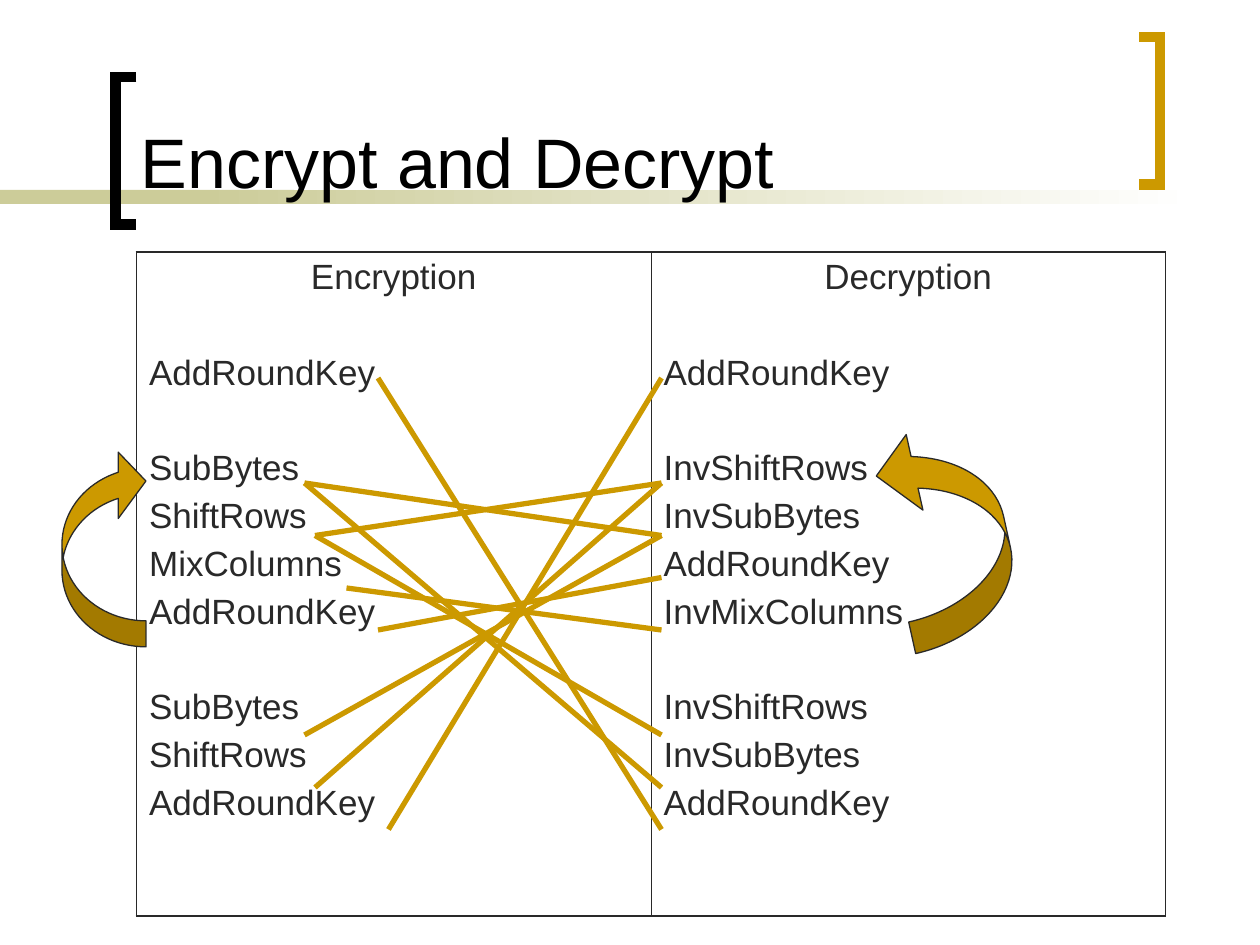
"""Build the slide that matches encryption steps with decryption steps."""
import lxml.etree
import pptx
import pptx.dml.color
import pptx.enum.shapes
import pptx.enum.text
import pptx.oxml.ns
import pptx.util

SHAPES = pptx.enum.shapes.MSO_SHAPE
ALIGN = pptx.enum.text.PP_ALIGN


def color(value):
    return pptx.dml.color.RGBColor.from_string(value)


def add_node(parent, tag, **attributes):
    return lxml.etree.SubElement(parent, pptx.oxml.ns.qn(tag), attributes)


class Page:
    """A slide on a grid of 120 columns by 90 rows, with its style."""

    columns, rows = 120, 90
    font, title_size, text_size = "Arial", 40, 20
    ink, gold, sand, black, white = "292929", "CC9900", "CCCC99", "000000", "FFFFFF"
    line_gap, group_gap = 5, 32.2
    outer_border, inner_border = 1.08, 0.45

    def __init__(self, deck):
        self.deck = deck
        self.slide = deck.slides.add_slide(deck.slide_layouts[5])
        self.shapes = self.slide.shapes

    def across(self, count):
        return round(self.deck.slide_width * count / self.columns)

    def down(self, count):
        return round(self.deck.slide_height * count / self.rows)

    def place(self, left, top, width, height):
        return self.across(left), self.down(top), self.across(width), self.down(height)

    def format(self, para, size, ink, align):
        para.alignment = align
        para.font.name = self.font
        para.font.size = pptx.util.Pt(size)
        para.font.color.rgb = color(ink)

    def title(self, text, *area):
        box = self.shapes.title
        box._element.getparent().append(box._element)
        box.left, box.top, box.width, box.height = self.place(*area)
        frame = box.text_frame
        frame.text = text
        frame.auto_size = pptx.enum.text.MSO_AUTO_SIZE.NONE
        frame.vertical_anchor = pptx.enum.text.MSO_ANCHOR.BOTTOM
        self.format(frame.paragraphs[0], self.title_size, self.black, ALIGN.LEFT)

    def shape(self, kind, *area):
        shape = self.shapes.add_shape(kind, *self.place(*area))
        shape.shadow.inherit = False
        return shape

    def band(self, *area, fade=False):
        band = self.shape(SHAPES.RECTANGLE, *area)
        band.line.fill.background()
        if fade:
            band.fill.gradient()
            band.fill.gradient_angle = 0
            for stop, shade in zip(band.fill.gradient_stops, (self.sand, self.white)):
                stop.color.rgb = color(shade)
        else:
            band.fill.solid()
            band.fill.fore_color.rgb = color(self.sand)

    def bracket(self, open_side, spine, top, bottom, shade):
        points = [
            (self.across(column), self.down(row))
            for column, row in ((open_side, top), (spine, top), (spine, bottom), (open_side, bottom))
        ]
        builder = self.shapes.build_freeform(*points[0])
        builder.add_line_segments(points[1:], close=False)
        bracket = builder.convert_to_shape()
        bracket.shadow.inherit = False
        bracket.fill.background()
        bracket.line.color.rgb = color(shade)
        bracket.line.width = pptx.util.Pt(6)
        add_node(bracket.line.fill._xPr, "a:miter", lim="800000")

    def border(self, cell, widths):
        properties = cell._tc.get_or_add_tcPr()
        for position, (side, width) in enumerate(zip("LRTB", widths)):
            line = add_node(properties, f"a:ln{side}", w=str(pptx.util.Pt(width)))
            add_node(add_node(line, "a:solidFill"), "a:srgbClr", val=self.ink)
            properties.insert(position, line)

    def table(self, lists, *area):
        table = self.shapes.add_table(1, len(lists), *self.place(*area)).table
        table.first_row = table.horz_banding = False
        last = len(lists) - 1
        for index, (heading, groups) in enumerate(lists):
            cell = table.cell(0, index)
            cell.fill.background()
            left = self.inner_border if index else self.outer_border
            right = self.inner_border if index < last else self.outer_border
            self.border(cell, (left, right, self.outer_border, self.outer_border))
            frame = cell.text_frame
            frame.text = heading
            self.format(frame.paragraphs[0], self.text_size, self.ink, ALIGN.CENTER)
            for group in groups:
                for step, name in enumerate(group):
                    para = frame.add_paragraph()
                    para.text = name
                    self.format(para, self.text_size, self.ink, ALIGN.LEFT)
                    para.space_before = pptx.util.Pt(self.line_gap if step else self.group_gap)

    def link(self, left, top, right, bottom):
        link = self.shapes.add_connector(
            pptx.enum.shapes.MSO_CONNECTOR.STRAIGHT,
            self.across(left), self.down(top), self.across(right), self.down(bottom),
        )
        link.line.color.rgb = color(self.gold)
        link.line.width = pptx.util.Pt(3)
        add_node(link._element.spPr, "a:effectLst")

    def loop_arrow(self, kind, rotation, adjustments, *area):
        arrow = self.shape(kind, *area)
        arrow.rotation = rotation
        for index, value in enumerate(adjustments):
            arrow.adjustments[index] = value
        arrow.fill.solid()
        arrow.fill.fore_color.rgb = color(self.gold)
        arrow.line.color.rgb = color(self.ink)
        arrow.line.width = pptx.util.Pt(0.75)


def main():
    deck = pptx.Presentation()
    deck.slide_width = pptx.util.Inches(10)
    deck.slide_height = pptx.util.Inches(7.5)
    page = Page(deck)

    page.band(0, 18.1, 28, 1.33)
    page.band(19, 18.1, 95, 1.33, fade=True)
    page.bracket(13, 11, 7.35, 21.4, page.black)
    page.bracket(108.5, 110.5, 3.55, 17.6, page.gold)
    page.title("Encrypt and Decrypt", 12.2, 1.33, 94, 18.55)

    encryption = [
        ["AddRoundKey"],
        ["SubBytes", "ShiftRows", "MixColumns", "AddRoundKey"],
        ["SubBytes", "ShiftRows", "AddRoundKey"],
    ]
    decryption = [
        ["AddRoundKey"],
        ["InvShiftRows", "InvSubBytes", "AddRoundKey", "InvMixColumns"],
        ["InvShiftRows", "InvSubBytes", "AddRoundKey"],
    ]
    page.table([("Encryption", encryption), ("Decryption", decryption)], 13, 24, 98, 63.25)

    links = [
        (37, 79, 36), (30, 75, 46), (29, 70, 51), (36, 60, 55), (33, 56, 60),
        (30, 51, 46), (29, 46, 51), (30, 51, 70), (29, 46, 75), (36, 36, 79),
    ]
    for left, top, bottom in links:
        page.link(left, top, 63, bottom)

    page.loop_arrow(SHAPES.CURVED_LEFT_ARROW, 180, (0.31, 0.79, 0.33), 5.9, 42.65, 8, 18.95)
    page.loop_arrow(SHAPES.CURVED_RIGHT_ARROW, 167.5, (0.28, 0.67, 0.33), 84.8, 40.3, 11, 21)
    deck.save("out.pptx")


if __name__ == "__main__":
    main()
